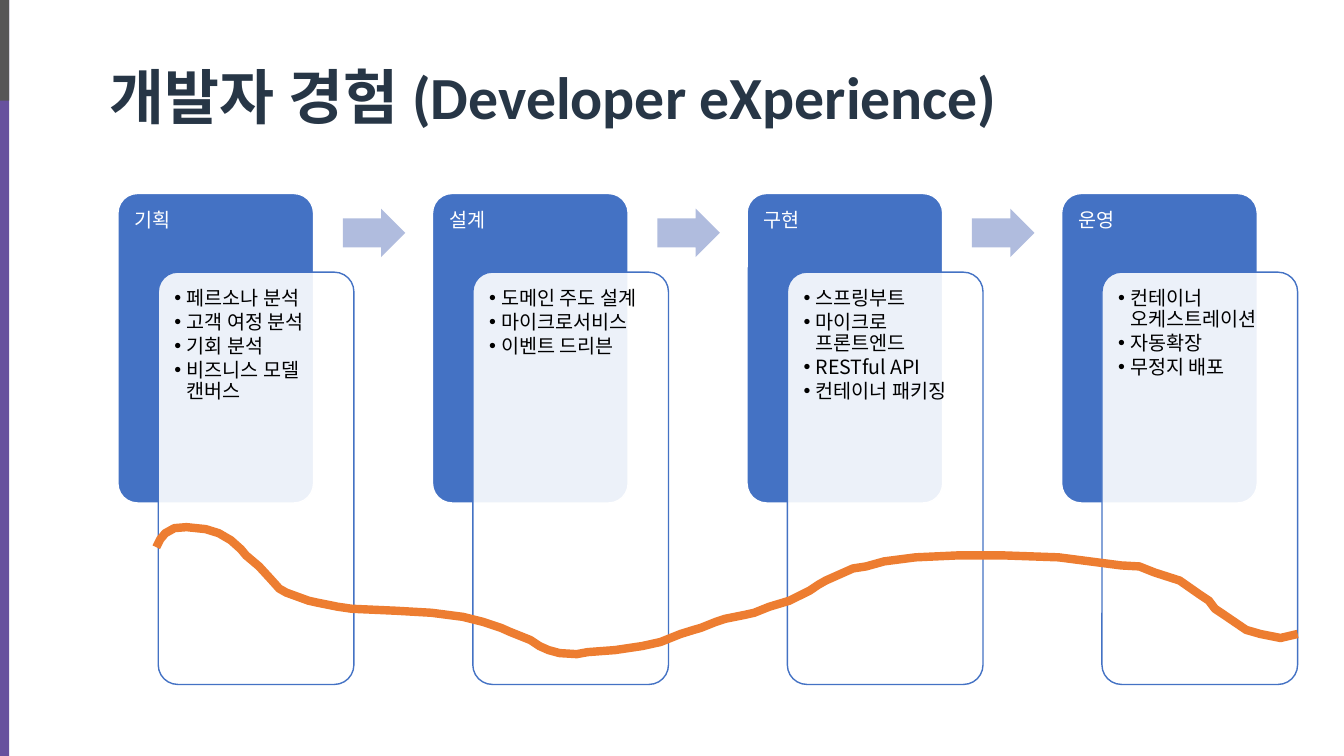
from lxml.etree import SubElement
from pptx import Presentation
from pptx.dml.color import RGBColor
from pptx.enum.shapes import MSO_SHAPE as Kind
from pptx.enum.text import MSO_ANCHOR as Anchor, MSO_AUTO_SIZE as Fit, PP_ALIGN as Align
from pptx.oxml.ns import qn
from pptx.util import Pt

PX = 9144
WHITE = RGBColor(0xFF, 0xFF, 0xFF)
BLACK = RGBColor(0, 0, 0)
NAVY = RGBColor(0x27, 0x36, 0x46)
BLUE = RGBColor(0x44, 0x72, 0xC4)
PALE = RGBColor(0xB0, 0xBC, 0xDE)
ORANGE = RGBColor(0xED, 0x7D, 0x31)
PURPLE = RGBColor(0x67, 0x51, 0x9E)
GRAY = RGBColor(0x57, 0x56, 0x56)
SANS = "Noto Sans CJK KR"

TITLE = "개발자 경험 (Developer eXperience)"
STAGES = [
    ("기획", ["페르소나 분석", "고객 여정 분석", "기회 분석", "비즈니스 모델 캔버스"]),
    ("설계", ["도메인 주도 설계", "마이크로서비스", "이벤트 드리븐"]),
    ("구현", ["스프링부트", "마이크로 프론트엔드", "RESTful API", "컨테이너 패키징"]),
    ("운영", ["컨테이너 오케스트레이션", "자동확장", "무정지 배포"]),
]
CURVE = [
    (0, 20), (4, 12), (9, 6), (18, 1), (30, 0), (49, 2), (62, 6), (74, 13),
    (84, 22), (89, 28), (102, 39), (113, 51), (122, 61), (129, 65),
    (151, 73), (160, 75), (180, 79), (194, 81), (238, 83), (273, 85),
    (304, 89), (324, 94), (342, 100), (351, 104), (371, 112), (380, 118),
    (389, 122), (400, 125), (417, 126), (428, 124), (455, 122), (482, 118),
    (500, 114), (520, 106), (533, 102), (540, 100), (555, 94), (564, 91),
    (584, 87), (593, 85), (608, 79), (628, 73), (648, 63), (657, 57),
    (664, 53), (673, 49), (691, 41), (704, 39), (722, 34), (753, 30),
    (796, 28), (839, 28), (895, 30), (957, 38), (975, 39), (990, 45),
    (1015, 53), (1035, 67), (1044, 73), (1050, 81), (1059, 87),
    (1081, 102), (1095, 106), (1115, 110), (1132, 106),
]


def put(thing, **vals):
    for key, val in vals.items():
        setattr(thing, key, val)


def place(thing, box):
    put(thing, **dict(zip(("left", "top", "width", "height"), (n * PX for n in box))))


def draw(slide, kind, box, fill, line=None, adj=()):
    shape = slide.shapes.add_shape(kind, *(n * PX for n in box))
    shape.shadow.inherit = False
    shape.fill.solid()
    shape.fill.fore_color.rgb = fill
    if line is None:
        shape.line.fill.background()
    else:
        shape.line.color.rgb = line
        shape.line.width = Pt(1)
    for i, val in enumerate(adj):
        shape.adjustments[i] = val
    return shape


def inset(frame, side, foot):
    put(frame, margin_left=side * PX, margin_right=side * PX,
        margin_top=side * PX, margin_bottom=foot * PX,
        word_wrap=True, auto_size=Fit.NONE, vertical_anchor=Anchor.TOP)


def style(para, color, **font):
    put(para, alignment=Align.LEFT, line_spacing=0.9, space_before=Pt(0))
    put(para.font, **font)
    para.font.color.rgb = color


def bullet(para):
    props = para._p.get_or_add_pPr()
    props.set("marL", str(12 * PX))
    props.set("indent", str(-12 * PX))
    SubElement(props, qn("a:buFont"), typeface="Arial")
    SubElement(props, qn("a:buChar"), char="•")


def bars(slide):
    draw(slide, Kind.RECTANGLE, (0, 0, 9, 750), PURPLE)
    draw(slide, Kind.RECTANGLE, (0, 0, 9, 100), GRAY)


def head(slide, box):
    title = slide.shapes.title
    place(title, box)
    frame = title.text_frame
    put(frame, text=TITLE, vertical_anchor=Anchor.MIDDLE, word_wrap=True, auto_size=Fit.NONE)
    style(frame.paragraphs[0], NAVY, name="Calibri", size=Pt(42.7), bold=True)


def stage(slide, slot, box, name, items):
    x, y, w, h = box
    card = draw(slide, Kind.ROUNDED_RECTANGLE, (x, y, w, 307), BLUE, WHITE, [0.1])
    inset(card.text_frame, 11, 6)
    card.text_frame.text = name
    style(card.text_frame.paragraphs[0], WHITE, name=SANS, size=Pt(14))

    px, py, ph = x + 40, y + 78, h - 78
    panel = draw(slide, Kind.ROUNDED_RECTANGLE, (px, py, w, ph), WHITE, BLUE, [0.1])
    tint = panel.fill._xPr.find(qn("a:solidFill"))[0]
    SubElement(tint, qn("a:alpha"), val="90000")

    place(slot, (px + 5, py + 5, w - 11, ph - 11))
    slide.shapes._spTree.append(slot.element)
    frame = slot.text_frame
    inset(frame, 11, 11)
    frame.text = "\n".join(items)
    for para in frame.paragraphs:
        para.space_after = Pt(2)
        bullet(para)
        style(para, BLACK, name=SANS, size=Pt(14), bold=False)


def flow(slide, box, pitch):
    x, y, w, h = box
    slots = [s for s in slide.placeholders if s != slide.shapes.title]
    for i, (slot, (name, items)) in enumerate(zip(slots, STAGES)):
        left = x + i * pitch
        if i:
            draw(slide, Kind.RIGHT_ARROW, (left - 89, y + 15, 62, 48), PALE, adj=[0.6, 0.5])
        stage(slide, slot, (left, y, w, h), name, items)


def wave(slide, x, y):
    dots = [(x + a, y + b) for a, b in CURVE]
    pen = slide.shapes.build_freeform(*dots[0], scale=PX)
    pen.add_line_segments(dots[1:], close=False)
    line = pen.convert_to_shape()
    line.shadow.inherit = False
    line.fill.background()
    line.line.color.rgb = ORANGE
    line.line.width = Pt(6)


def main():
    deck = Presentation()
    put(deck, slide_width=1333 * PX, slide_height=750 * PX)
    slide = deck.slides.add_slide(deck.slide_layouts.get_by_name("Comparison"))
    bars(slide)
    head(slide, (99, 59, 1142, 80))
    flow(slide, (117, 192, 194, 487), 312)
    wave(slide, 155, 523)
    deck.save("out.pptx")


if __name__ == "__main__":
    main()
